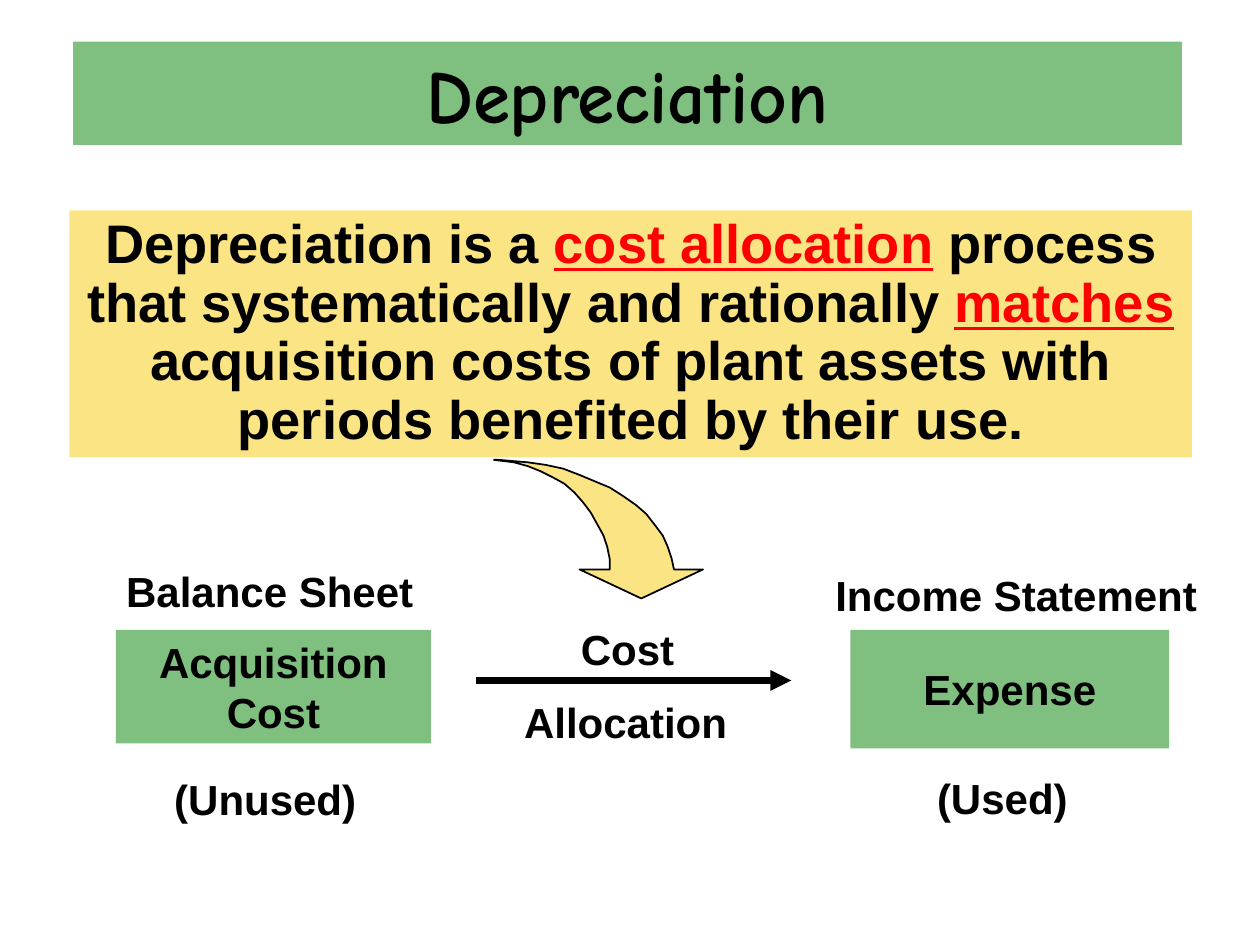
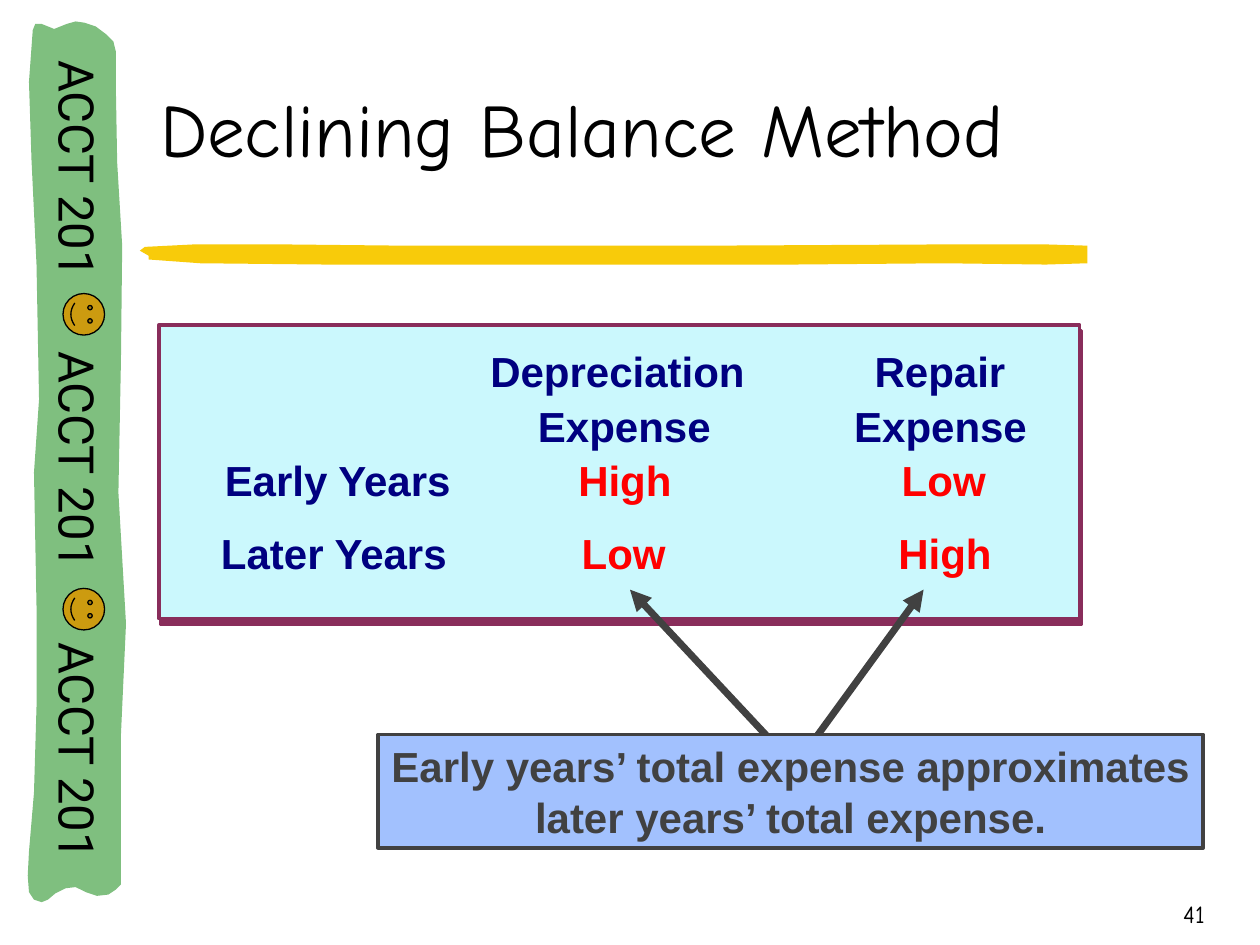
from lxml import etree
from pptx import Presentation
from pptx.dml.color import RGBColor
from pptx.enum.shapes import MSO_CONNECTOR, MSO_SHAPE
from pptx.enum.text import MSO_ANCHOR, PP_ALIGN
from pptx.oxml.ns import qn
from pptx.util import Inches, Pt

RECTANGLE = MSO_SHAPE.RECTANGLE
SMILEY = MSO_SHAPE.SMILEY_FACE
STRAIGHT = MSO_CONNECTOR.STRAIGHT
LEFT, CENTER, RIGHT = PP_ALIGN.LEFT, PP_ALIGN.CENTER, PP_ALIGN.RIGHT
MIDDLE, BOTTOM = MSO_ANCHOR.MIDDLE, MSO_ANCHOR.BOTTOM

COLORS = {
    "black": "000000", "red": "FF0000", "navy": "000080", "gray": "414141",
    "green": "008000", "yellow": "F8CB0A", "gold": "CC9B10",
    "cyan": "CBF8FD", "plum": "892D5B", "blue": "A2C1FE",
}
BODY_FONT, TITLE_FONT, BAND_FONT = "Arial", "Comic Neue", "Roboto"
TITLE_ONLY = 5


def paint(shape, fill, line=None, width=1, alpha=None):
    shape.shadow.inherit = False
    shape.fill.solid()
    shape.fill.fore_color.rgb = RGBColor.from_string(COLORS[fill])
    if alpha:
        color = shape.element.spPr.find(qn("a:solidFill"))[0]
        etree.SubElement(color, qn("a:alpha"), val=str(alpha * 1000))
    if line:
        shape.line.color.rgb = RGBColor.from_string(COLORS[line])
        shape.line.width = Pt(width)
    else:
        shape.line.fill.background()


def write(box, text, color="black", size=24, font=BODY_FONT, bold=True, align=CENTER, wrap=False):
    box.text_frame.word_wrap = wrap
    para = box.text_frame.paragraphs[0]
    para.text = text
    para.alignment = align
    para.font.name = font
    para.font.size = Pt(size)
    para.font.bold = bold
    para.font.color.rgb = RGBColor.from_string(COLORS[color])
    return para


deck = Presentation()
deck.slide_width, deck.slide_height = Inches(10), Inches(7.5)

pages = []
for text, left, top, align, bold in [
    ("Depreciation", 0.58, 0.33, CENTER, True),
    ("Declining Balance Method", 1.17, 0.6, LEFT, False),
]:
    page = deck.slides.add_slide(deck.slide_layouts[TITLE_ONLY])
    title = page.shapes.title
    title.left, title.top, title.width, title.height = map(Inches, (left, top, 8.8, 0.82))
    title.text_frame.vertical_anchor = MIDDLE
    write(title, text, size=43, font=TITLE_FONT, bold=bold, align=align, wrap=True)
    pages.append(page)
concept, method = pages
paint(concept.shapes.title, "green", alpha=50)

curved_arrow = [
    (4.84, 4.52), (4.84, 4.44), (4.82, 4.34), (4.79, 4.25), (4.74, 4.16), (4.69, 4.07),
    (4.63, 3.99), (4.56, 3.91), (4.48, 3.84), (4.39, 3.79), (4.29, 3.74), (4.19, 3.7),
    (4.08, 3.67), (3.92, 3.65), (3.96, 3.65), (4.19, 3.67), (4.33, 3.69), (4.47, 3.72),
    (4.6, 3.77), (4.72, 3.82), (4.84, 3.87), (4.95, 3.94), (5.05, 4.01), (5.13, 4.08),
    (5.2, 4.17), (5.26, 4.25), (5.3, 4.34), (5.33, 4.43), (5.35, 4.52), (5.58, 4.52),
    (5.09, 4.75), (4.6, 4.52),
]
brush_stroke = [
    (2.59, 2.1), (1.59, 2.09), (1.18, 2.06), (1.18, 2.03), (1.11, 1.99), (1.15, 1.96),
    (1.54, 1.94), (2.25, 1.94), (3.2, 1.95), (4.46, 1.95), (5.62, 1.95), (7.49, 1.94),
    (8.3, 1.94), (8.63, 1.95), (8.63, 2.09), (8.3, 2.1), (7.49, 2.09), (6.29, 2.1),
    (4.7, 2.1), (3.71, 2.1),
]
side_band = [
    (0.29, 5.61), (0.29, 4.81), (0.27, 3.75), (0.31, 3.17), (0.29, 2.1), (0.25, 1.27),
    (0.23, 0.65), (0.26, 0.24), (0.28, 0.19), (0.33, 0.19), (0.38, 0.21), (0.43, 0.23),
    (0.48, 0.21), (0.53, 0.19), (0.6, 0.17), (0.67, 0.18), (0.76, 0.21), (0.84, 0.27),
    (0.9, 0.33), (0.92, 0.41), (0.92, 0.71), (0.93, 1.29), (0.97, 1.95), (0.96, 2.86),
    (0.94, 3.91), (1, 4.95), (0.96, 5.83), (0.96, 6.9), (0.96, 7.02), (0.92, 7.06),
    (0.86, 7.1), (0.77, 7.11), (0.68, 7.08), (0.6, 7.04), (0.52, 7.05), (0.44, 7.09),
    (0.38, 7.14), (0.33, 7.16), (0.27, 7.14), (0.23, 7.08), (0.22, 6.95), (0.23, 6.76),
    (0.27, 6.29),
]
for page, outline, fill, line, alpha in [
    (concept, curved_arrow, "yellow", "black", 50),
    (method, brush_stroke, "yellow", None, None),
    (method, side_band, "green", None, 50),
]:
    points = [(Inches(x), Inches(y)) for x, y in outline]
    builder = page.shapes.build_freeform(*points[0])
    builder.add_line_segments(points[1:], close=True)
    paint(builder.convert_to_shape(), fill, line, alpha=alpha)

definition = concept.shapes.add_shape(RECTANGLE, *map(Inches, (0.55, 1.67, 8.91, 1.96)))
paint(definition, "yellow", alpha=50)
para = write(definition, "", size=31, wrap=True)
para.line_spacing = 0.9
for text, key_term in [
    ("Depreciation is a ", False),
    ("cost allocation", True),
    (" process that systematically and rationally ", False),
    ("matches", True),
    (" acquisition costs of plant assets with periods benefited by their use.", False),
]:
    span = para.add_run()
    span.text = text
    if key_term:
        span.font.underline = True
        span.font.color.rgb = RGBColor.from_string(COLORS["red"])

for text, left, width, height in [("Acquisition\nCost", 0.92, 2.5, 0.9), ("Expense", 6.75, 2.53, 0.94)]:
    account = concept.shapes.add_shape(RECTANGLE, *map(Inches, (left, 5, width, height)))
    paint(account, "green", alpha=50)
    write(account, text)

panel = method.shapes.add_shape(RECTANGLE, *map(Inches, (1.26, 2.58, 7.31, 2.33)))
paint(panel, "cyan", "plum", 2)
effects = panel.element.spPr.find(qn("a:effectLst"))
shadow = etree.SubElement(effects, qn("a:outerShdw"), dist=str(Pt(3.2)), dir=str(72 * 60000), algn="ctr", rotWithShape="0")
etree.SubElement(shadow, qn("a:srgbClr"), val=COLORS["plum"])

for page, text, left, top, width, color in [
    (concept, "Cost", 4.44, 4.9, 1.08, "black"),
    (concept, "Allocation", 4.01, 5.48, 1.91, "black"),
    (concept, "(Unused)", 1.19, 6.09, 1.83, "black"),
    (concept, "Balance Sheet", 0.9, 4.44, 2.48, "black"),
    (concept, "(Used)", 7.25, 6.08, 1.41, "black"),
    (concept, "Income Statement", 6.53, 4.47, 3.07, "black"),
    (method, "Depreciation", 3.79, 2.69, 2.22, "navy"),
    (method, "Repair", 6.84, 2.69, 1.24, "navy"),
    (method, "Expense", 4.17, 3.13, 1.57, "navy"),
    (method, "Expense", 6.68, 3.13, 1.57, "navy"),
    (method, "Early Years", 1.63, 3.56, 2.1, "navy"),
    (method, "High", 4.46, 3.56, 1, "red"),
    (method, "Low", 6.99, 3.56, 1, "red"),
    (method, "Later Years", 1.6, 4.14, 2.1, "navy"),
    (method, "Low", 4.45, 4.14, 1, "red"),
    (method, "High", 7, 4.14, 1, "red"),
]:
    label = page.shapes.add_textbox(*map(Inches, (left, top, width, 0.5)))
    write(label, text, color)

for page, ends, color in [
    (concept, (3.78, 5.4, 6.28, 5.4), "black"),
    (method, (6.17, 5.93, 5, 4.68), "gray"),
    (method, (6.42, 5.93, 7.33, 4.68), "gray"),
]:
    arrow = page.shapes.add_connector(STRAIGHT, *map(Inches, ends))
    arrow.line.color.rgb = RGBColor.from_string(COLORS[color])
    arrow.line.width = Pt(4)
    etree.SubElement(arrow.element.spPr.find(qn("a:ln")), qn("a:tailEnd"), type="triangle")
    etree.SubElement(arrow.element.spPr, qn("a:effectLst"))

conclusion = method.shapes.add_shape(RECTANGLE, *map(Inches, (3, 5.83, 6.55, 0.9)))
paint(conclusion, "blue", "gray", 2)
write(conclusion, "Early years’ total expense approximates\nlater years’ total expense.", "gray")

for index in range(3):
    course = method.shapes.add_textbox(*map(Inches, (-0.5, 1.05 + 2.31 * index, 2.24, 0.58)))
    course.rotation = 90
    course.text_frame.vertical_anchor = MIDDLE
    write(course, "ACCT 201", size=28, font=BAND_FONT, bold=False)

for top in (2.33, 4.67):
    smiley = method.shapes.add_shape(SMILEY, *map(Inches, (0.5, top, 0.33, 0.33)))
    smiley.rotation = 90
    paint(smiley, "gold", "black", 0.75)

number = method.shapes.add_textbox(*map(Inches, (7.58, 6.92, 2.08, 0.5)))
number.text_frame.vertical_anchor = BOTTOM
write(number, "41", size=14, font=TITLE_FONT, bold=False, align=RIGHT, wrap=True)

deck.save("out.pptx")
